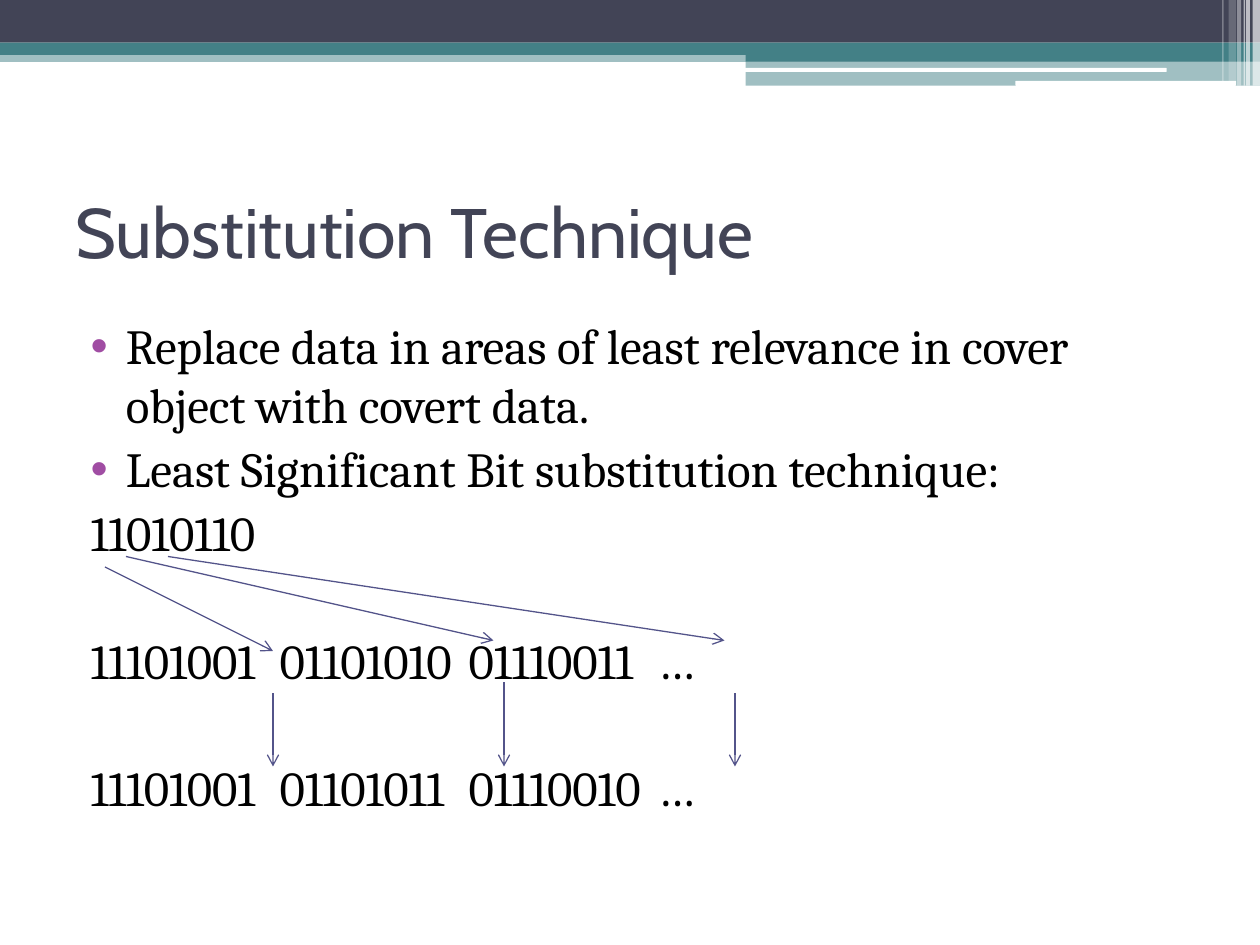
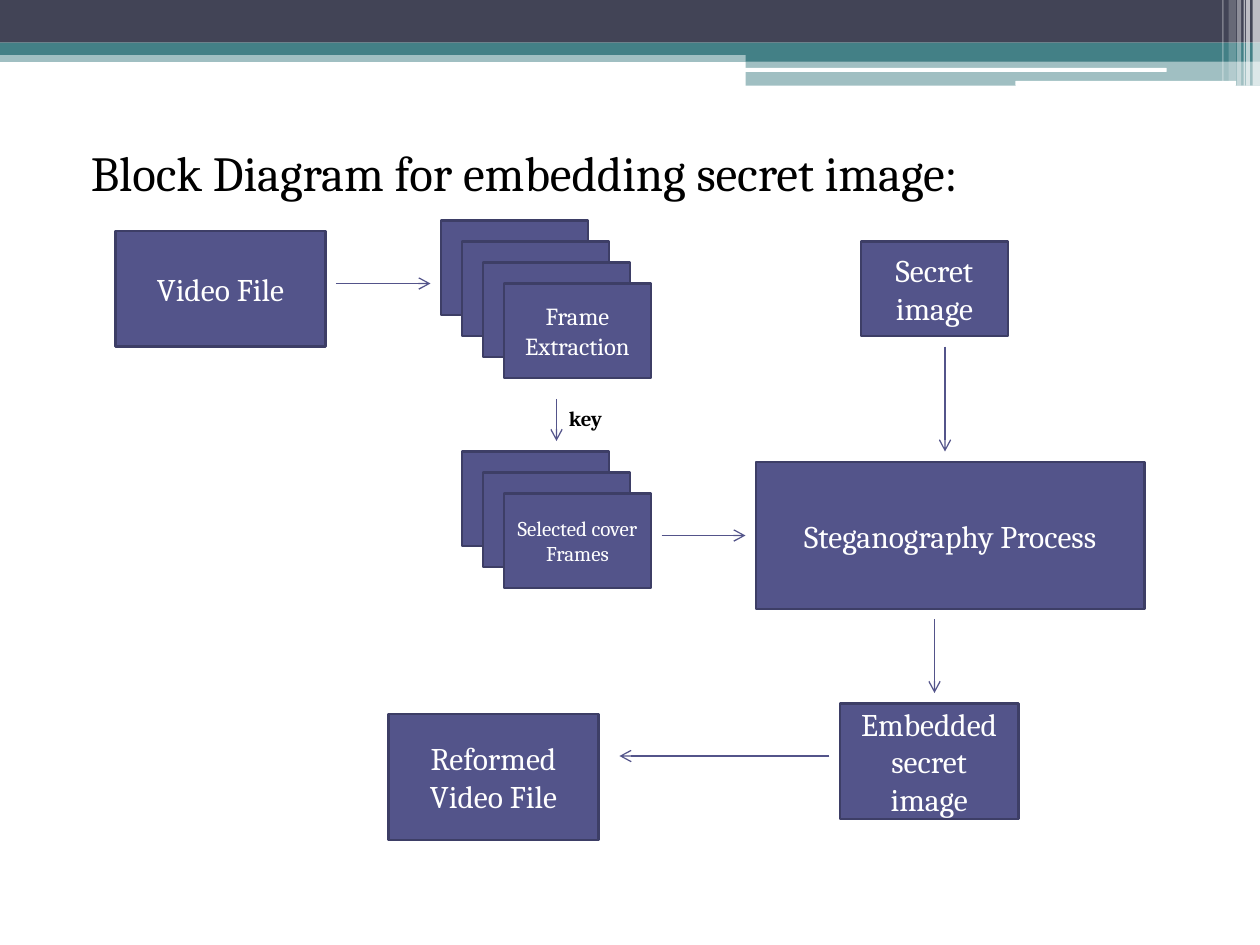
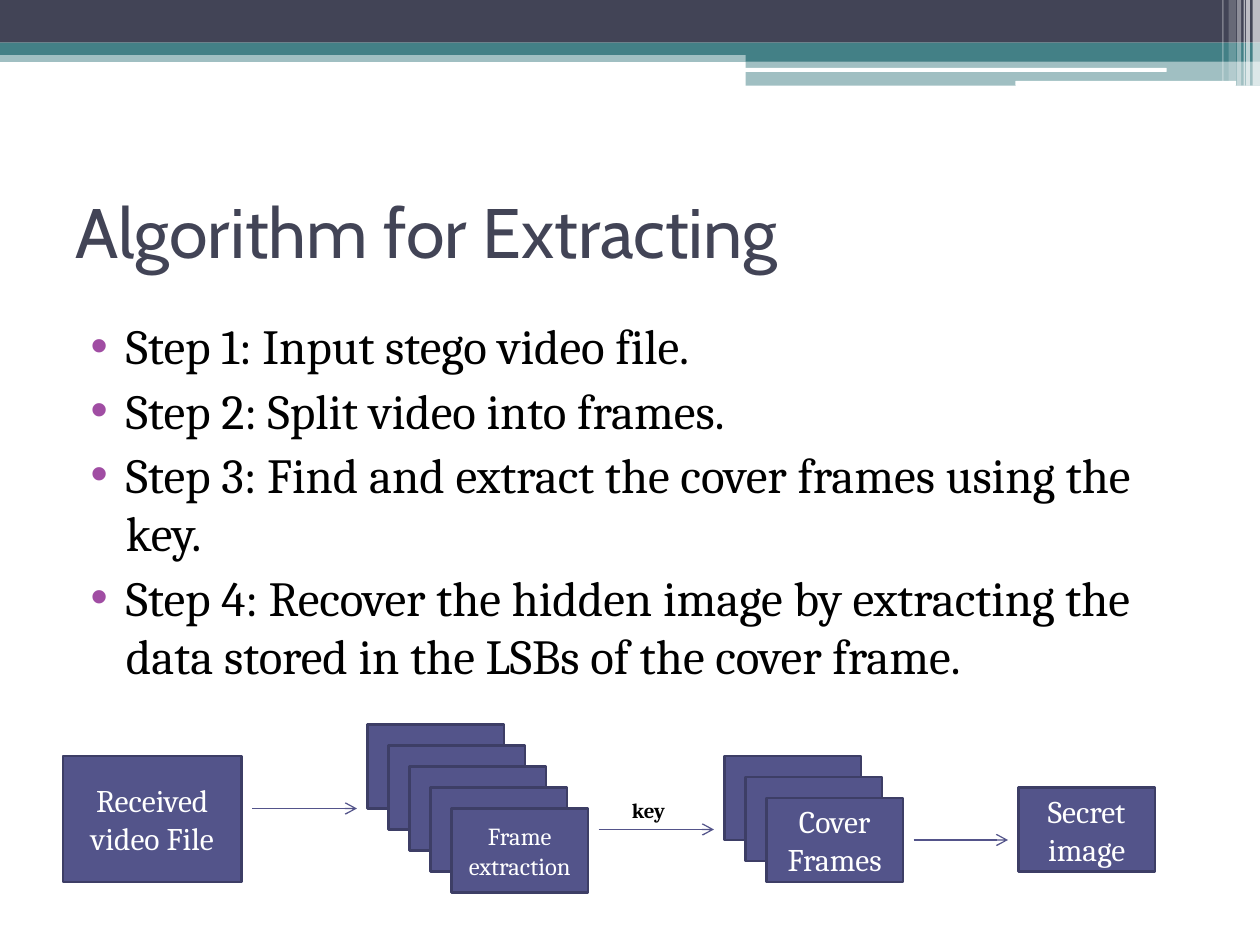
from pptx import Presentation
from pptx import util as u
from pptx.dml.color import RGBColor
from pptx.enum import shapes, text
from pptx.oxml.ns import qn
from lxml import etree

# Shared look
INK, TEAL, WHITE, BLACK = "424456", "438086", "FFFFFF", "000000"
FILL, EDGE, DOT = "53548A", "3D3E66", "A04DA3"
HEAD, BODY = "Cabin", "Cambria"
RECT, ROUND = shapes.MSO_SHAPE.RECTANGLE, shapes.MSO_SHAPE.ROUNDED_RECTANGLE
LEFT, MID = text.PP_ALIGN.LEFT, text.PP_ALIGN.CENTER

# Top bands: shape, left, top, width, height in cm, colour, opacity in %
BANDS = [
    (RECT, 0, 1.02, 25.4, 0.23, TEAL, 50),
    (RECT, 0, 0, 25.4, 0.86, INK, 100),
    (RECT, 0, 0.86, 25.4, 0.25, TEAL, 100),
    (RECT, 15.03, 0.99, 10.37, 0.25, TEAL, 100),
    (RECT, 15.03, 1.23, 10.37, 0.5, TEAL, 50),
    (ROUND, 15.01, 1.37, 8.51, 0.08, WHITE, 100),
    (ROUND, 20.47, 1.63, 4.45, 0.1, WHITE, 100),
] + [(RECT, x, 0, w, h, WHITE, a) for x, w, h, a in [
    (25.25, 0.15, 1.73, 65), (25.12, 0.08, 1.73, 65), (25.07, 0.03, 1.73, 60),
    (24.94, 0.08, 1.73, 40), (24.77, 0.15, 1.63, 20), (24.64, 0.03, 1.63, 30)]]

# Places below count cells of a grid, 120 across and 90 down
CELL = 2.54 / 12
STEP = 2  # offset between stacked frames

# Body lines: text, bulleted, space before in points
# Boxes: text, size, left, top, width, height, frames in the stack
# Arrows: from x, y, to x, y
SLIDES = [
    dict(
        title="Substitution Technique",
        body=[
            ("Replace data in areas of least relevance in cover object "
             "with covert data.", True, 3),
            ("Least Significant Bit substitution technique:", True, 3),
            ("11010110", False, 3),
            ("11101001\t01101010\t01110011\t…", False, 39),
            ("11101001\t01101011\t01110010\t…", False, 39),
        ],
        arrows=[(10, 54, 26, 62), (12, 53, 47, 61), (16, 53, 69, 61),
                (26, 66, 26, 73), (48, 65, 48, 73), (70, 66, 70, 73)],
    ),
    dict(
        heading="Block Diagram for embedding secret image:",
        boxes=[
            ("Video File", 18, 11, 22, 20, 11, 1),
            ("Frame Extraction", 14, 42, 21, 14, 9, 4),
            ("Selected cover Frames", 12, 44, 43, 14, 9, 3),
            ("Steganography Process", 18, 72, 44, 37, 14, 1),
            ("Secret image", 18, 82, 23, 14, 9, 1),
            ("Embedded secret image", 18, 80, 67, 17, 11, 1),
            ("Reformed Video File", 18, 37, 68, 20, 12, 1),
        ],
        arrows=[(32, 27, 41, 27), (53, 38, 53, 42), (63, 51, 71, 51),
                (90, 33, 90, 43), (89, 59, 89, 66), (79, 72, 59, 72)],
        key=(53, 38),
    ),
    dict(
        title="Algorithm for Extracting",
        body=[(line, True, 3) for line in (
            "Step 1: Input stego video file.",
            "Step 2: Split video into frames.",
            "Step 3: Find and extract the cover frames using the key.",
            "Step 4: Recover the hidden image by extracting the data "
            "stored in the LSBs of the cover frame.")],
        boxes=[
            ("Received video File", 18, 6, 72, 17, 12, 1),
            ("Frame extraction", 14, 35, 69, 13, 8, 5),
            ("Cover Frames", 18, 69, 72, 13, 8, 3),
            ("Secret image", 18, 97, 75, 13, 8, 1),
        ],
        arrows=[(24, 77, 34, 77), (57, 79, 68, 79), (87, 80, 96, 80)],
        key=(59, 75.4),
    ),
]


def rgb(code):
    return RGBColor.from_string(code)


def grid(*cells):
    return [u.Cm(n * CELL) for n in cells]


def put(obj, **vals):
    for name, val in vals.items():
        setattr(obj, name, val)


def sub(node, tag, **vals):
    return etree.SubElement(node, qn(tag), vals)


def write(para, words, size, font=BODY, color=BLACK, bold=False, align=LEFT):
    run = para.add_run()
    run.text = words
    para.alignment = align
    put(run.font, size=u.Pt(size), name=font, bold=bold)
    run.font.color.rgb = rgb(color)


def block(slide, kind, place, color):
    shape = slide.shapes.add_shape(kind, *place)
    shape.shadow.inherit = False
    shape.fill.solid()
    shape.fill.fore_color.rgb = rgb(color)
    shape.line.fill.background()
    return shape


def add_bands(slide, master):
    # Draw once, then move behind the master's placeholders
    for i, (kind, x, y, w, h, color, alpha) in enumerate(BANDS):
        band = block(slide, kind, [u.Cm(n) for n in (x, y, w, h)], color)
        if alpha < 100:
            tint = next(band.element.spPr.iter(qn("a:srgbClr")))
            sub(tint, "a:alpha", val=str(alpha * 1000))
        band.element.nvSpPr.cNvPr.set("id", str(100 + i))
        master.shapes.element.insert(2 + i, band.element)


def add_title(slide, words, place, anchor, **style):
    title = slide.shapes.title
    put(title, **dict(zip(("left", "top", "width", "height"), place)))
    put(title.text_frame, vertical_anchor=anchor, word_wrap=True,
        auto_size=text.MSO_AUTO_SIZE.NONE)
    write(title.text_frame.paragraphs[0], words, **style)


def add_body(slide, lines):
    frame = slide.shapes.add_textbox(*grid(6, 29.5, 108, 56.8)).text_frame
    frame.word_wrap = True
    for i, (words, dotted, gap) in enumerate(lines):
        para = frame.paragraphs[0] if i == 0 else frame.add_paragraph()
        write(para, words, 28)
        para.space_before = u.Pt(gap)
        props = para._p.get_or_add_pPr()
        margin, indent = (1.02, -0.71) if dotted else (0.31, 0)
        props.set("marL", str(u.Cm(margin)))
        props.set("indent", str(u.Cm(indent)))
        if dotted:
            sub(sub(props, "a:buClr"), "a:srgbClr", val=DOT)
            sub(props, "a:buFont", typeface="Arial")
            sub(props, "a:buChar", char="•")
        else:
            sub(props, "a:buNone")
            tabs = sub(props, "a:tabLst")
            for stop in (4.04, 8.1, 11.78):
                sub(tabs, "a:tab", pos=str(u.Cm(stop)), algn="l")


def add_stack(slide, words, size, x, y, w, h, count):
    for i in range(count):
        place = grid(x + i * STEP, y + i * STEP, w, h)
        box = block(slide, RECT, place, FILL)
        box.line.color.rgb = rgb(EDGE)
        box.line.width = u.Pt(1.5)
    frame = box.text_frame
    put(frame, word_wrap=True, vertical_anchor=text.MSO_ANCHOR.MIDDLE)
    write(frame.paragraphs[0], words, size, color=WHITE, align=MID)


def add_arrow(slide, *ends):
    arrow = slide.shapes.add_connector(
        shapes.MSO_CONNECTOR.STRAIGHT, *grid(*ends))
    arrow.line.color.rgb = rgb(FILL)
    arrow.line.width = u.Pt(0.75)
    props = arrow.element.spPr
    sub(props.find(qn("a:ln")), "a:tailEnd", type="arrow")
    sub(props, "a:effectLst")


def add_key(slide, x, y):
    frame = slide.shapes.add_textbox(*grid(x, y, 6, 3.6)).text_frame
    put(frame, word_wrap=False,
        auto_size=text.MSO_AUTO_SIZE.SHAPE_TO_FIT_TEXT)
    write(frame.paragraphs[0], "key", 12, bold=True)


def main():
    prs = Presentation()
    put(prs, slide_width=u.Cm(25.4), slide_height=u.Cm(19.05))
    for i, data in enumerate(SLIDES):
        slide = prs.slides.add_slide(prs.slide_layouts[5])
        if i == 0:
            add_bands(slide, prs.slide_master)
        if "title" in data:
            add_title(slide, data["title"], grid(6, 15, 108, 14),
                      text.MSO_ANCHOR.MIDDLE, size=40, font=HEAD, color=INK)
        else:
            add_title(slide, data["heading"], grid(7.45, 13, 106, 8),
                      text.MSO_ANCHOR.TOP, size=28)
        if "body" in data:
            add_body(slide, data["body"])
        for box in data.get("boxes", []):
            add_stack(slide, *box)
        for ends in data["arrows"]:
            add_arrow(slide, *ends)
        if "key" in data:
            add_key(slide, *data["key"])
    prs.save("out.pptx")


if __name__ == "__main__":
    main()
